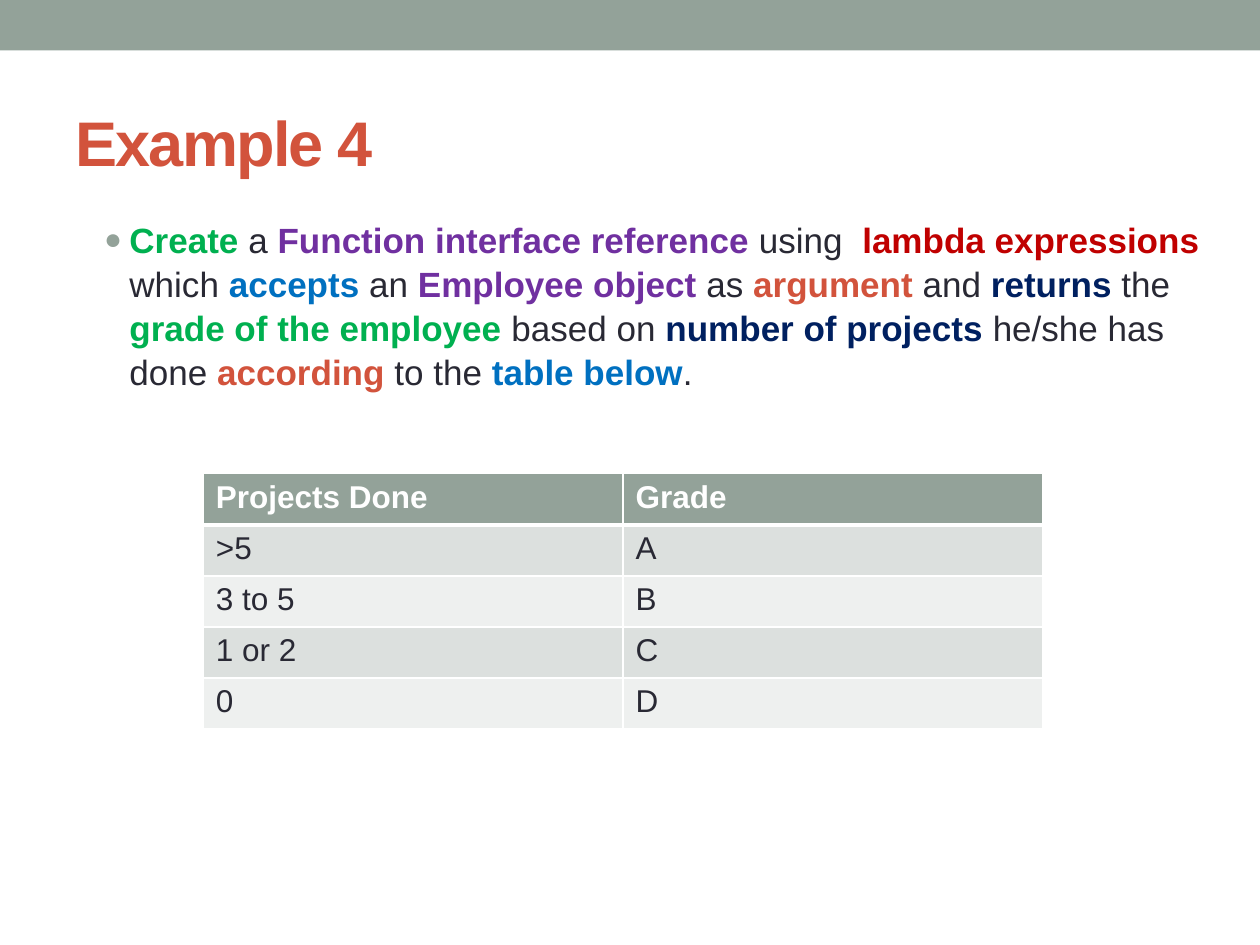
"""Build the "Example 4" exercise slide with its grading table."""
from dataclasses import dataclass

import lxml.etree
import pptx
import pptx.dml.color
import pptx.enum.shapes
import pptx.enum.text
import pptx.oxml.ns
import pptx.util

Cm, Pt = pptx.util.Cm, pptx.util.Pt
qn = pptx.oxml.ns.qn
rgb = pptx.dml.color.RGBColor.from_string


@dataclass(frozen=True)
class Theme:
    font: str = "Arial"
    title_size: int = 36
    body_size: int = 20
    table_size: int = 18
    sage: str = "93A299"
    white: str = "FFFFFF"
    ink: str = "292934"
    rust: str = "D2533C"
    green: str = "00B050"
    purple: str = "7030A0"
    red: str = "C00000"
    blue: str = "0070C0"
    navy: str = "002060"
    bands: tuple = ("DCE0DE", "EEF0EF")


theme = Theme()


def style_font(font, size, color, bold):
    font.name, font.size, font.bold = theme.font, Pt(size), bold
    font.color.rgb = rgb(color)


def add_element(parent, tag, **attributes):
    return lxml.etree.SubElement(parent, qn(tag), attributes)


presentation = pptx.Presentation()
presentation.slide_width, presentation.slide_height = Cm(25.4), Cm(19.05)
slide = presentation.slides.add_slide(presentation.slide_layouts[6])

banner = slide.shapes.add_shape(
    pptx.enum.shapes.MSO_SHAPE.RECTANGLE, 0, 0, presentation.slide_width, Cm(1.02))
banner.shadow.inherit = False
banner.fill.solid()
banner.fill.fore_color.rgb = rgb(theme.sage)
banner.line.fill.background()

title = slide.shapes.add_textbox(Cm(1.27), Cm(1.47), Cm(22.86), Cm(2.74))
title.text_frame.word_wrap = True
title.text_frame.vertical_anchor = pptx.enum.text.MSO_ANCHOR.MIDDLE
paragraph = title.text_frame.paragraphs[0]
style_font(paragraph.font, theme.title_size, theme.rust, True)
run = paragraph.add_run()
run.text = "Example 4"
run._r.get_or_add_rPr().set("spc", "-100")

task_parts = [
    ("Create", theme.green), (" a ", theme.ink),
    ("Function interface reference ", theme.purple), ("using  ", theme.ink),
    ("lambda expressions ", theme.red), ("which ", theme.ink),
    ("accepts", theme.blue), (" an ", theme.ink),
    ("Employee object ", theme.purple), ("as ", theme.ink),
    ("argument", theme.rust), (" and ", theme.ink),
    ("returns", theme.navy), (" the ", theme.ink),
    ("grade of the employee ", theme.green), ("based on ", theme.ink),
    ("number of projects ", theme.navy), ("he/she has done ", theme.ink),
    ("according", theme.rust), (" to the ", theme.ink),
    ("table below", theme.blue), (".", theme.ink),
]
task = slide.shapes.add_textbox(Cm(0.84), Cm(4.24), Cm(23.64), Cm(13.49))
task.text_frame.word_wrap = True
paragraph = task.text_frame.paragraphs[0]
paragraph.line_spacing = 1.05
properties = paragraph._p.get_or_add_pPr()
properties.set("marL", str(Cm(1.52)))
properties.set("indent", str(Cm(-0.51)))
add_element(add_element(properties, "a:buClr"), "a:srgbClr", val=theme.sage)
add_element(properties, "a:buSzPct", val="85000")
add_element(properties, "a:buFont", typeface=theme.font)
add_element(properties, "a:buChar", char="●")
style_font(paragraph.font, theme.body_size, theme.ink, False)
for text, color in task_parts:
    run = paragraph.add_run()
    run.text = text
    if color != theme.ink:
        run.font.bold = True
        run.font.color.rgb = rgb(color)

grades = [("Projects Done", "Grade"), (">5", "A"), ("3 to 5", "B"), ("1 or 2", "C"), ("0", "D")]
table = slide.shapes.add_table(
    len(grades), 2, Cm(4.1), Cm(9.55), Cm(16.92), Cm(5.15)).table
for row_index, row in enumerate(grades):
    header = row_index == 0
    fill = theme.sage if header else theme.bands[(row_index - 1) % 2]
    top, bottom = (3 if row_index == 1 else 1), (3 if header else 1)
    for column_index, text in enumerate(row):
        cell = table.cell(row_index, column_index)
        cell.text = text
        style_font(cell.text_frame.paragraphs[0].font, theme.table_size,
                   theme.white if header else theme.ink, header)
        cell_properties = cell._tc.get_or_add_tcPr()
        for side, width in (("L", 1), ("R", 1), ("T", top), ("B", bottom)):
            border = add_element(cell_properties, f"a:ln{side}", w=str(Pt(width)))
            add_element(add_element(border, "a:solidFill"), "a:srgbClr", val=theme.white)
        cell.fill.solid()
        cell.fill.fore_color.rgb = rgb(fill)

presentation.save("out.pptx")
